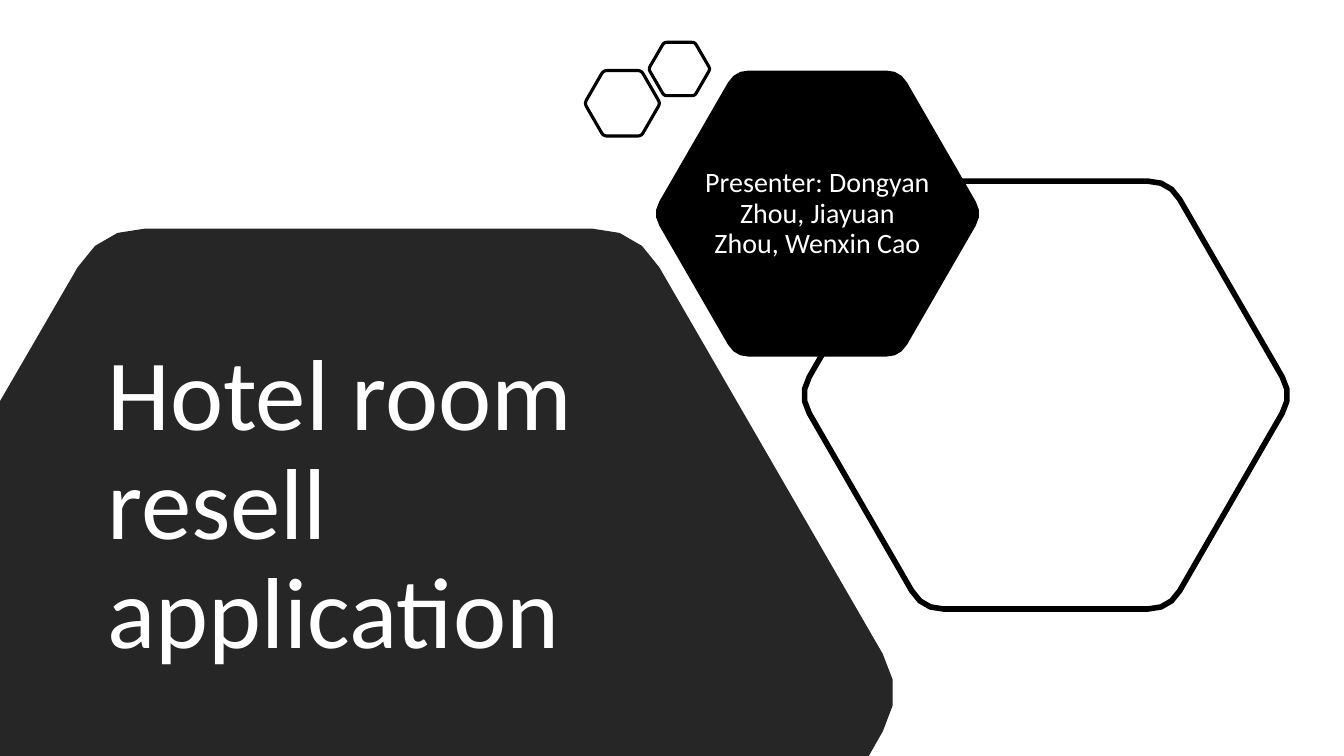
from dataclasses import dataclass
from math import cos, hypot, pi, sin

from pptx import Presentation
from pptx.dml.color import RGBColor
from pptx.enum.shapes import MSO_SHAPE
from pptx.enum.text import MSO_ANCHOR, MSO_AUTO_SIZE, PP_ALIGN
from pptx.util import Pt

COLOURS = {"black": "000000", "charcoal": "262626", "white": "FFFFFF"}
FONT = "Calibri"
CURVE_STEPS = 3


@dataclass(frozen=True)
class Corner:
    x: float
    y: float
    cut: float = 0


@dataclass(frozen=True)
class Hexagon:
    x: float
    y: float
    radius: float
    cut: float
    fill: str | None = None
    line_width: float = 0


@dataclass(frozen=True)
class Caption:
    words: str
    left: float
    top: float
    width: float
    height: float
    size: float
    align: PP_ALIGN


def rgb(name: str) -> RGBColor:
    return RGBColor.from_string(COLOURS[name])


def toward(start: Corner, end: Corner) -> tuple[float, float]:
    share = start.cut / hypot(end.x - start.x, end.y - start.y)
    return start.x + (end.x - start.x) * share, start.y + (end.y - start.y) * share


def round_corner(before: Corner, corner: Corner, after: Corner) -> list[tuple[int, int]]:
    if not corner.cut:
        return [(Pt(corner.x), Pt(corner.y))]
    (x0, y0), (x1, y1) = toward(corner, before), toward(corner, after)
    curve = []
    for step in range(CURVE_STEPS + 1):
        t = step / CURVE_STEPS
        a, b, c = (1 - t) ** 2, 2 * t * (1 - t), t ** 2
        curve.append((Pt(a * x0 + b * corner.x + c * x1), Pt(a * y0 + b * corner.y + c * y1)))
    return curve


def paint(shape, fill: str | None, line_width: float = 0) -> None:
    shape.shadow.inherit = False
    if fill:
        shape.fill.solid()
        shape.fill.fore_color.rgb = rgb(fill)
    else:
        shape.fill.background()
    if line_width:
        shape.line.color.rgb = rgb("black")
        shape.line.width = Pt(line_width)
    else:
        shape.line.fill.background()


def draw_outline(shapes, corners: list[Corner], fill: str | None, line_width: float = 0) -> None:
    points = []
    for i, corner in enumerate(corners):
        points += round_corner(corners[i - 1], corner, corners[(i + 1) % len(corners)])
    builder = shapes.build_freeform(*points[0])
    builder.add_line_segments(points[1:], close=True)
    paint(builder.convert_to_shape(), fill, line_width)


def draw_hexagon(shapes, hexagon: Hexagon) -> None:
    corners = [
        Corner(
            hexagon.x + hexagon.radius * cos(i * pi / 3),
            hexagon.y + hexagon.radius * sin(i * pi / 3),
            hexagon.cut,
        )
        for i in range(6)
    ]
    draw_outline(shapes, corners, hexagon.fill, hexagon.line_width)


def write_caption(placeholder, caption: Caption) -> None:
    placeholder.left, placeholder.top = Pt(caption.left), Pt(caption.top)
    placeholder.width, placeholder.height = Pt(caption.width), Pt(caption.height)
    frame = placeholder.text_frame
    frame.word_wrap = True
    frame.auto_size = MSO_AUTO_SIZE.NONE
    frame.vertical_anchor = MSO_ANCHOR.MIDDLE
    paragraph = frame.paragraphs[0]
    paragraph.alignment = caption.align
    paragraph.line_spacing = 0.9
    paragraph.space_before = Pt(0)
    run = paragraph.add_run()
    run.text = caption.words
    run.font.name = FONT
    run.font.size = Pt(caption.size)
    run.font.color.rgb = rgb("white")
    placeholder.element.getparent().append(placeholder.element)


RIGHT_HEXAGON = Hexagon(747, 282.2, 176.4, 15, line_width=4)
PRESENTER_HEXAGON = Hexagon(584, 152.6, 118, 10, fill="black")
SMALL_HEXAGONS = [
    Hexagon(444.6, 73.8, 27, 2.5, line_width=2.25),
    Hexagon(485.3, 49.3, 22, 2, line_width=2.25),
]
TITLE_PANEL = [
    Corner(0, 540),
    Corner(0, 286.6),
    Corner(71.5, 163.3, 32),
    Corner(455, 163.3, 32),
    Corner(646.5, 494.6, 32),
    Corner(620.6, 540),
]
TITLE = Caption("Hotel room resell application", 69.5, 233.3, 403, 257, 72, PP_ALIGN.LEFT)
PRESENTERS = Caption(
    "Presenter: Dongyan Zhou, Jiayuan Zhou, Wenxin Cao",
    496.4, 105.8, 175, 94.3, 20, PP_ALIGN.CENTER,
)

presentation = Presentation()
presentation.slide_width, presentation.slide_height = Pt(960), Pt(540)
slide = presentation.slides.add_slide(presentation.slide_layouts[0])

backdrop = slide.shapes.add_shape(MSO_SHAPE.RECTANGLE, Pt(0), Pt(0), Pt(960), Pt(540))
paint(backdrop, "white")
draw_hexagon(slide.shapes, RIGHT_HEXAGON)
draw_hexagon(slide.shapes, PRESENTER_HEXAGON)
draw_outline(slide.shapes, TITLE_PANEL, "charcoal")
write_caption(slide.shapes.title, TITLE)
write_caption(slide.placeholders[1], PRESENTERS)
small_pair = slide.shapes.add_group_shape()
for small_hexagon in SMALL_HEXAGONS:
    draw_hexagon(small_pair.shapes, small_hexagon)

presentation.save("out.pptx")
